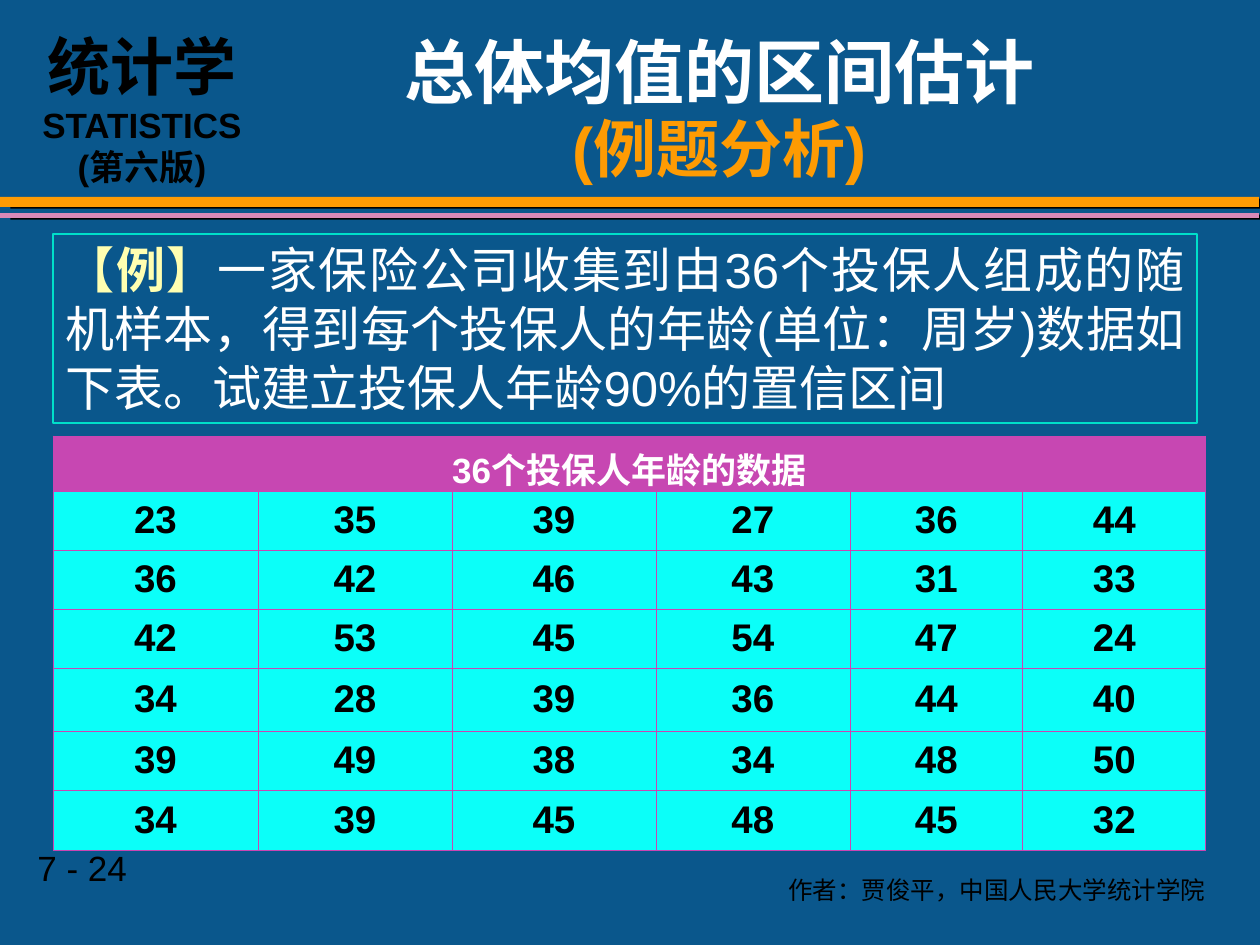
from lxml import etree
from pptx import Presentation
from pptx import util as u
from pptx.dml.color import RGBColor
from pptx.enum import shapes, text
from pptx.oxml import parse_xml
from pptx.oxml.ns import nsdecls, qn

BLUE = RGBColor(0x0A, 0x57, 0x8C)
ORANGE = RGBColor(0xFE, 0x9B, 0x03)
PINK = RGBColor(0xD9, 0x89, 0xB8)
TEAL = RGBColor(0x00, 0xDF, 0xCA)
YELLOW = RGBColor(0xFF, 0xFF, 0xB1)
MAGENTA = RGBColor(0xC7, 0x47, 0xB2)
GRID = RGBColor(0xC9, 0x45, 0xB3)
CYAN = RGBColor(0x0B, 0xFF, 0xF9)
WHITE = RGBColor(0xFF, 0xFF, 0xFF)
BLACK = RGBColor(0x00, 0x00, 0x00)

CENTER = text.PP_ALIGN.CENTER
AGES = [
    [23, 35, 39, 27, 36, 44],
    [36, 42, 46, 43, 31, 33],
    [42, 53, 45, 54, 47, 24],
    [34, 28, 39, 36, 44, 40],
    [39, 49, 38, 34, 48, 50],
    [34, 39, 45, 48, 45, 32],
]


def px(value):
    return round(value * u.Inches(1) / 126)


class SlideBuilder:
    font = "Arial"

    def __init__(self, slide):
        self.slide = slide

    def style(self, font, size, color, bold=False):
        font.name, font.size, font.bold = self.font, u.Pt(size), bold
        font.color.rgb = color

    def bar(self, top, height, color):
        """Full-width rule with a hard black shadow."""
        shape = self.slide.shapes.add_shape(
            shapes.MSO_SHAPE.RECTANGLE, 0, px(top), px(1259), px(height))
        shape.fill.solid()
        shape.fill.fore_color.rgb = color
        shape.line.fill.background()
        shape._element.spPr.append(parse_xml(
            f'<a:effectLst {nsdecls("a")}><a:outerShdw blurRad="0" dist="{u.Pt(6.1)}" '
            f'dir="{9 * 60000}" algn="ctr" rotWithShape="0">'
            f'<a:srgbClr val="{BLACK}"/></a:outerShdw></a:effectLst>'))

    def text_box(self, box, paragraphs, align=CENTER, wrap=True, top_inset=6):
        """Each paragraph is a list of (text, size, color, bold) runs."""
        shape = self.slide.shapes.add_textbox(*map(px, box))
        frame = shape.text_frame
        frame.word_wrap = wrap
        frame.margin_top = px(top_inset)
        for index, runs in enumerate(paragraphs):
            paragraph = frame.add_paragraph() if index else frame.paragraphs[0]
            paragraph.alignment = align
            for content, *look in runs:
                if content == "\n":
                    paragraph.add_line_break()
                    continue
                run = paragraph.add_run()
                run.text = content
                self.style(run.font, *look)
        return shape

    def cell(self, cell, content, size, color, fill, space_before):
        cell.fill.solid()
        cell.fill.fore_color.rgb = fill
        cell.vertical_anchor = text.MSO_ANCHOR.MIDDLE
        paragraph = cell.text_frame.paragraphs[0]
        paragraph.text = content
        paragraph.alignment = CENTER
        paragraph.space_before = u.Pt(space_before)
        self.style(paragraph.font, size, color, True)

    def borders(self, cell):
        properties = cell._tc.get_or_add_tcPr()
        for index, side in enumerate(("lnL", "lnR", "lnT", "lnB")):
            line = etree.Element(qn(f"a:{side}"), w=str(u.Pt(0.45)))
            fill = etree.SubElement(line, qn("a:solidFill"))
            etree.SubElement(fill, qn("a:srgbClr"), val=str(GRID))
            properties.insert(index, line)

    def table(self, left, top, widths, heights, heading, rows):
        table = self.slide.shapes.add_table(
            len(heights), len(widths), px(left), px(top),
            px(sum(widths)), px(sum(heights))).table
        table.first_row = table.horz_banding = False
        for column, width in zip(table.columns, widths):
            column.width = px(width)
        for row, height in zip(table.rows, heights):
            row.height = px(height)
        table.cell(0, 0).merge(table.cell(0, len(widths) - 1))
        self.cell(table.cell(0, 0), heading, 20, WHITE, MAGENTA, 12.5)
        for r, values in enumerate(rows, 1):
            for c, value in enumerate(values):
                self.cell(table.cell(r, c), str(value), 22, BLACK, CYAN, 5.5)
        for cell in table.iter_cells():
            self.borders(cell)


def main():
    presentation = Presentation()
    presentation.slide_width, presentation.slide_height = px(1260), px(945)
    slide = presentation.slides.add_slide(presentation.slide_layouts[6])
    slide.background.fill.solid()
    slide.background.fill.fore_color.rgb = BLUE
    builder = SlideBuilder(slide)

    # Double rule under the header
    builder.bar(197, 10, ORANGE)
    builder.bar(213, 5, PINK)

    # Page number and author
    builder.text_box((25, 840, 236, 54), [[("7 - 24", 20, BLACK)]],
                     align=text.PP_ALIGN.LEFT, wrap=False)
    builder.text_box((769, 869, 456, 43),
                     [[("作者：贾俊平，中国人民大学统计学院", 14, BLACK)]])

    # Book name
    builder.text_box((21, 14, 242, 180), [
        [("统计学", 36, BLACK, True), ("STATISTICS", 20, BLACK, True)],
        [("(第六版)", 20, BLACK, True)],
    ], top_inset=14)

    # Title
    title = builder.text_box((252, 32, 935, 158), [[
        ("总体均值的区间估计", 40, WHITE, True), ("\n",),
        ("(例题分析)", 36, ORANGE, True)]])
    title.text_frame.vertical_anchor = text.MSO_ANCHOR.MIDDLE
    title.text_frame.paragraphs[0].line_spacing = 0.95

    # Example
    example = builder.text_box((53, 234, 1144, 189), [[
        ("【例】", 28, YELLOW, True),
        ("一家保险公司收集到由36个投保人组成的随机样本，得到每个投保人的年龄"
         "(单位：周岁)数据如下表。试建立投保人年龄90%的置信区间", 28, WHITE)]],
        align=text.PP_ALIGN.JUSTIFY)
    example.line.color.rgb = TEAL
    example.line.width = u.Pt(1)

    # Ages
    builder.table(53, 436, [205, 194, 204, 194, 173, 183],
                  [55, 59, 59, 59, 63, 59, 61], "36个投保人年龄的数据", AGES)

    presentation.save("out.pptx")


if __name__ == "__main__":
    main()
